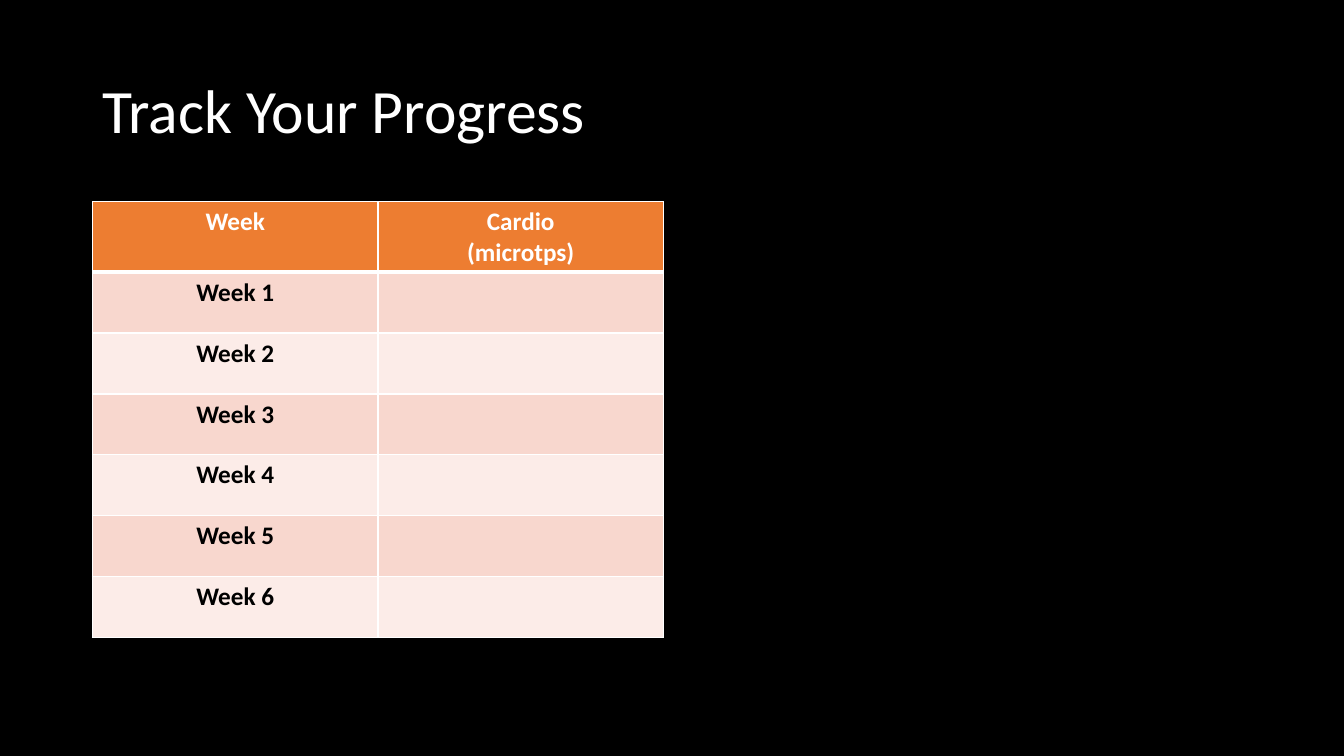
from dataclasses import dataclass

from lxml import etree
from pptx import Presentation
from pptx import util as u
from pptx.dml.color import RGBColor
from pptx.enum import text
from pptx.oxml import ns

WIDTH, HEIGHT = u.Inches(13.33), u.Inches(7.5)
GRID_COLS, GRID_ROWS = 160, 75
FONT = "Calibri"
BLACK, WHITE, ORANGE = "000000", "FFFFFF", "ED7D31"
BANDS = ("F8D7CE", "FCECE8")
WEEKS = 6


@dataclass(frozen=True)
class Box:
    """A place on the slide, in grid columns and rows."""
    col: float
    row: float
    cols: float
    rows: float

    def lengths(self) -> tuple[int, int, int, int]:
        return across(self.col), down(self.row), across(self.cols), down(self.rows)


@dataclass(frozen=True)
class TableRow:
    cells: tuple[str, str]
    height: float
    fill: str
    color: str
    top: float = 1
    bottom: float = 1


def across(cols: float) -> int:
    return round(WIDTH * cols / GRID_COLS)


def down(rows: float) -> int:
    return round(HEIGHT * rows / GRID_ROWS)


def rgb(value: str) -> RGBColor:
    return RGBColor.from_string(value)


def write(tf, content: str, *, size: float, color: str, bold: bool = False,
          align=text.PP_ALIGN.LEFT, spacing: float = 1.0) -> None:
    """Fill a text frame, one paragraph for each line of content."""
    for i, line in enumerate(content.split("\n")):
        p = tf.add_paragraph() if i else tf.paragraphs[0]
        p.alignment, p.line_spacing = align, spacing
        p.font.size = u.Pt(size)
        if line:
            r = p.add_run()
            r.text = line
            r.font.name, r.font.size, r.font.bold = FONT, u.Pt(size), bold
            r.font.color.rgb = rgb(color)


def add_border(cell, side: str, points: float) -> None:
    tc_pr = cell._tc.get_or_add_tcPr()
    ln = etree.SubElement(tc_pr, ns.qn(f"a:ln{side}"), w=str(u.Pt(points)))
    fill = etree.SubElement(ln, ns.qn("a:solidFill"))
    etree.SubElement(fill, ns.qn("a:srgbClr"), val=WHITE)


def add_title(slide, box: Box, content: str) -> None:
    tf = slide.shapes.add_textbox(*box.lengths()).text_frame
    tf.word_wrap = True
    tf.vertical_anchor = text.MSO_ANCHOR.MIDDLE
    write(tf, content, size=44, color=WHITE, spacing=0.9)


def add_progress_table(slide, box: Box, rows: list[TableRow]) -> None:
    n_cols = len(rows[0].cells)
    table = slide.shapes.add_table(len(rows), n_cols, *box.lengths()).table
    for col in table.columns:
        col.width = across(box.cols / n_cols)
    for i, row in enumerate(rows):
        table.rows[i].height = down(row.height)
        for j, content in enumerate(row.cells):
            cell = table.cell(i, j)
            for side, points in zip("LRTB", (1, 1, row.top, row.bottom)):
                add_border(cell, side, points)
            cell.fill.solid()
            cell.fill.fore_color.rgb = rgb(row.fill)
            write(cell.text_frame, content, size=18, color=row.color,
                  bold=True, align=text.PP_ALIGN.CENTER)


def main() -> None:
    prs = Presentation()
    prs.slide_width, prs.slide_height = WIDTH, HEIGHT
    slide = prs.slides.add_slide(prs.slide_layouts[6])
    slide.background.fill.solid()
    slide.background.fill.fore_color.rgb = rgb(BLACK)

    add_title(slide, Box(11, 4, 138, 14.5), "Track Your Progress")

    header = TableRow(("Week", "Cardio\n(microtps)"), 7, ORANGE, WHITE, bottom=3)
    weeks = [TableRow((f"Week {n + 1}", ""), 6.04, BANDS[n % 2], BLACK,
                      top=1 if n else 3)
             for n in range(WEEKS)]
    rows = [header, *weeks]
    add_progress_table(slide, Box(11, 20, 68, sum(r.height for r in rows)), rows)
    prs.save("out.pptx")


if __name__ == "__main__":
    main()
